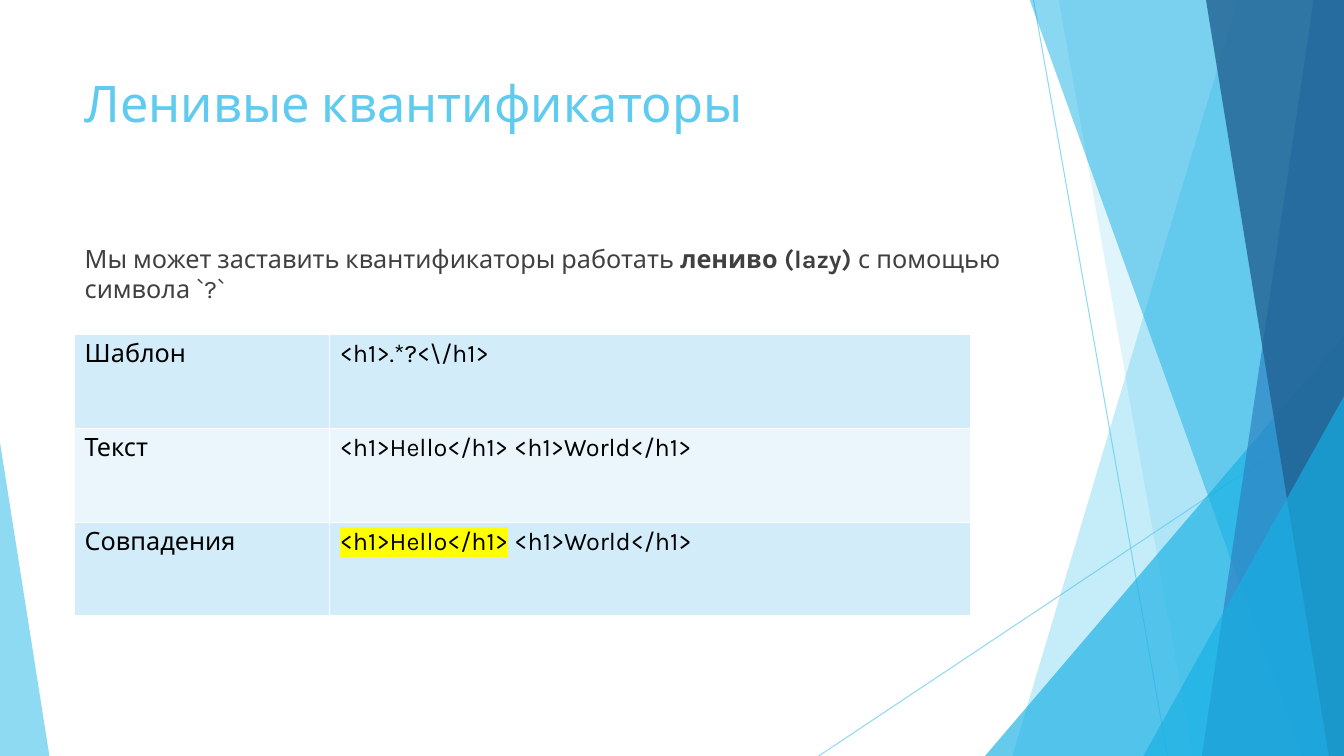
import pptx
import pptx.util
import pptx.dml.color
import pptx.enum.shapes
import pptx.enum.text
import lxml.etree
from pptx.oxml.ns import qn

Inches = pptx.util.Inches
Pt = pptx.util.Pt
RGBColor = pptx.dml.color.RGBColor
TRIANGLE = pptx.enum.shapes.MSO_SHAPE.ISOSCELES_TRIANGLE

SKY = RGBColor(0x5F, 0xCB, 0xEF)
CYAN = RGBColor(0x17, 0xB0, 0xE4)
BLUE = RGBColor(0x2E, 0x83, 0xC3)
NAVY = RGBColor(0x22, 0x62, 0x92)
GREY = RGBColor(0x40, 0x40, 0x40)
BLACK = RGBColor(0, 0, 0)
YELLOW = RGBColor(0xFF, 0xFF, 0)
BANDS = RGBColor(0xD2, 0xEC, 0xF9), RGBColor(0xEA, 0xF6, 0xFC)

WIDTH, HEIGHT = 13.33, 7.5
LEFT = 0.74
FONT = "Karla"

HEADING = "Ленивые квантификаторы"
EXPLANATION = [
    ("Мы может заставить квантификаторы работать ", False),
    ("лениво (lazy) ", True),
    ("с помощью символа `?`", False),
]
EXAMPLE = [
    ("Шаблон", [("<h1>.*?<\\/h1>", False)]),
    ("Текст", [("<h1>Hello</h1> <h1>World</h1>", False)]),
    ("Совпадения", [("<h1>Hello</h1>", True), (" <h1>World</h1>", False)]),
]
COLUMN_WIDTHS = 2.53, 6.36
ROW_HEIGHT = 0.93

RAYS = [((10.25, 0), (11.58, HEIGHT)), ((WIDTH, 4.03), (8.12, HEIGHT))]
# kind, geometry, colour, opacity
FACETS = [
    ("band", (12.28, 10.04), SKY, 36),
    ("band", (10.5, 11.83), SKY, 20),
    ("corner", (9.77, 3.33, 3.56, 1), CYAN, 66),
    ("band", (10.21, 12.91), CYAN, 50),
    ("band", (13.03, 11.92), BLUE, 70),
    ("band", (11.96, 13.18), NAVY, 80),
    ("corner", (11.34, 3.93, 1.99, 1), CYAN, 66),
    ("corner", (0, 4.39, 0.49, 0), SKY, 70),
]


def set_opacity(part, percent):
    for colour in part.element.spPr.iter(qn("a:srgbClr")):
        lxml.etree.SubElement(colour, qn("a:alpha")).set("val", str(percent * 1000))


def add_ray(slide, start, end):
    ray = slide.shapes.add_connector(
        pptx.enum.shapes.MSO_CONNECTOR.STRAIGHT, *map(Inches, start + end))
    ray.line.color.rgb = SKY
    ray.line.width = Pt(0.75)
    set_opacity(ray, 70)
    lxml.etree.SubElement(ray.element.spPr, qn("a:effectLst"))


def add_facet(slide, kind, geometry, colour, opacity):
    if kind == "band":
        top_x, bottom_x = geometry
        outline = [(top_x, -0.01), (WIDTH, -0.01), (WIDTH, HEIGHT), (bottom_x, HEIGHT)]
        points = [(Inches(x), Inches(y)) for x, y in outline]
        builder = slide.shapes.build_freeform(*points[0])
        builder.add_line_segments(points[1:])
        facet = builder.convert_to_shape()
    else:
        left, top, width, apex = geometry
        facet = slide.shapes.add_shape(
            TRIANGLE, *map(Inches, (left, top, width, HEIGHT - top)))
        facet.adjustments[0] = apex
    facet.shadow.inherit = False
    facet.fill.solid()
    facet.fill.fore_color.rgb = colour
    set_opacity(facet, opacity)
    facet.line.fill.background()


def style(paragraph, size, colour):
    paragraph.font.name = FONT
    paragraph.font.size = Pt(size)
    paragraph.font.color.rgb = colour


def place(slide, placeholder, top, height):
    placeholder.left, placeholder.top = Inches(LEFT), Inches(top)
    placeholder.width, placeholder.height = Inches(9.4), Inches(height)
    frame = placeholder.text_frame
    frame.vertical_anchor = pptx.enum.text.MSO_ANCHOR.TOP
    frame.auto_size = pptx.enum.text.MSO_AUTO_SIZE.NONE
    frame.word_wrap = True
    slide.shapes.element.append(placeholder.element)
    paragraph = frame.paragraphs[0]
    paragraph.alignment = pptx.enum.text.PP_ALIGN.LEFT
    return paragraph


def add_explanation(paragraph):
    paragraph.space_before = Pt(10)
    properties = paragraph._p.get_or_add_pPr()
    properties.set("marL", "0")
    properties.set("indent", "0")
    lxml.etree.SubElement(properties, qn("a:buNone"))
    style(paragraph, 18, GREY)
    for words, bold in EXPLANATION:
        run = paragraph.add_run()
        run.text = words
        if bold:
            run.font.bold = True


def add_example(slide):
    table = slide.shapes.add_table(
        len(EXAMPLE), len(COLUMN_WIDTHS), Inches(LEFT), Inches(3.32),
        Inches(sum(COLUMN_WIDTHS)), Inches(ROW_HEIGHT * len(EXAMPLE))).table
    table.first_row = table.horz_banding = False
    for column, width in zip(table.columns, COLUMN_WIDTHS):
        column.width = Inches(width)
    for row, (label, pieces) in enumerate(EXAMPLE):
        for column, runs in enumerate(([(label, False)], pieces)):
            cell = table.cell(row, column)
            cell.fill.solid()
            cell.fill.fore_color.rgb = BANDS[row % 2]
            paragraph = cell.text_frame.paragraphs[0]
            style(paragraph, 18, BLACK)
            for words, matched in runs:
                run = paragraph.add_run()
                run.text = words
                if matched:
                    highlight = lxml.etree.SubElement(
                        run._r.get_or_add_rPr(), qn("a:highlight"))
                    lxml.etree.SubElement(highlight, qn("a:srgbClr")).set("val", str(YELLOW))


def main():
    deck = pptx.Presentation()
    deck.slide_width, deck.slide_height = Inches(WIDTH), Inches(HEIGHT)
    slide = deck.slides.add_slide(deck.slide_layouts[1])
    for start, end in RAYS:
        add_ray(slide, start, end)
    for facet in FACETS:
        add_facet(slide, *facet)
    heading = place(slide, slide.shapes.title, 0.67, 1.44)
    heading.text = HEADING
    style(heading, 36, SKY)
    add_explanation(place(slide, slide.placeholders[1], 2.36, 4.24))
    add_example(slide)
    deck.save("out.pptx")


if __name__ == "__main__":
    main()
